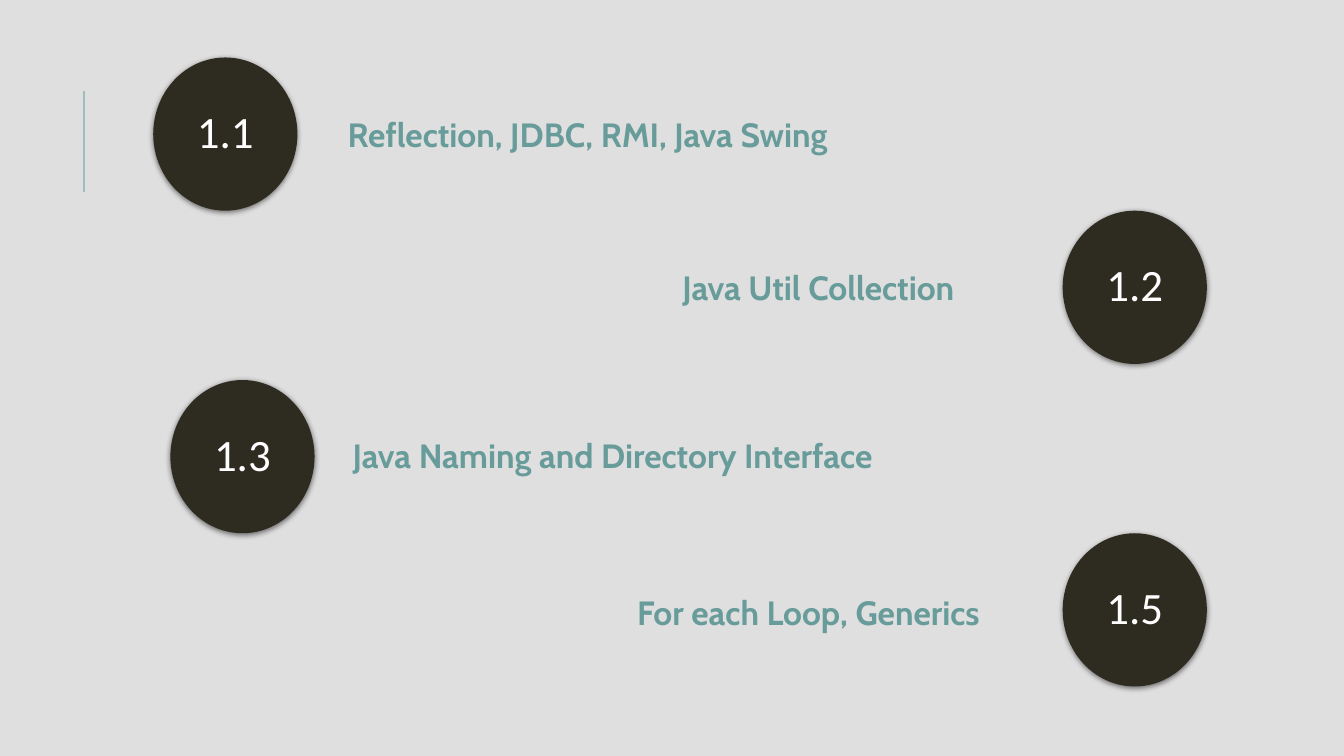
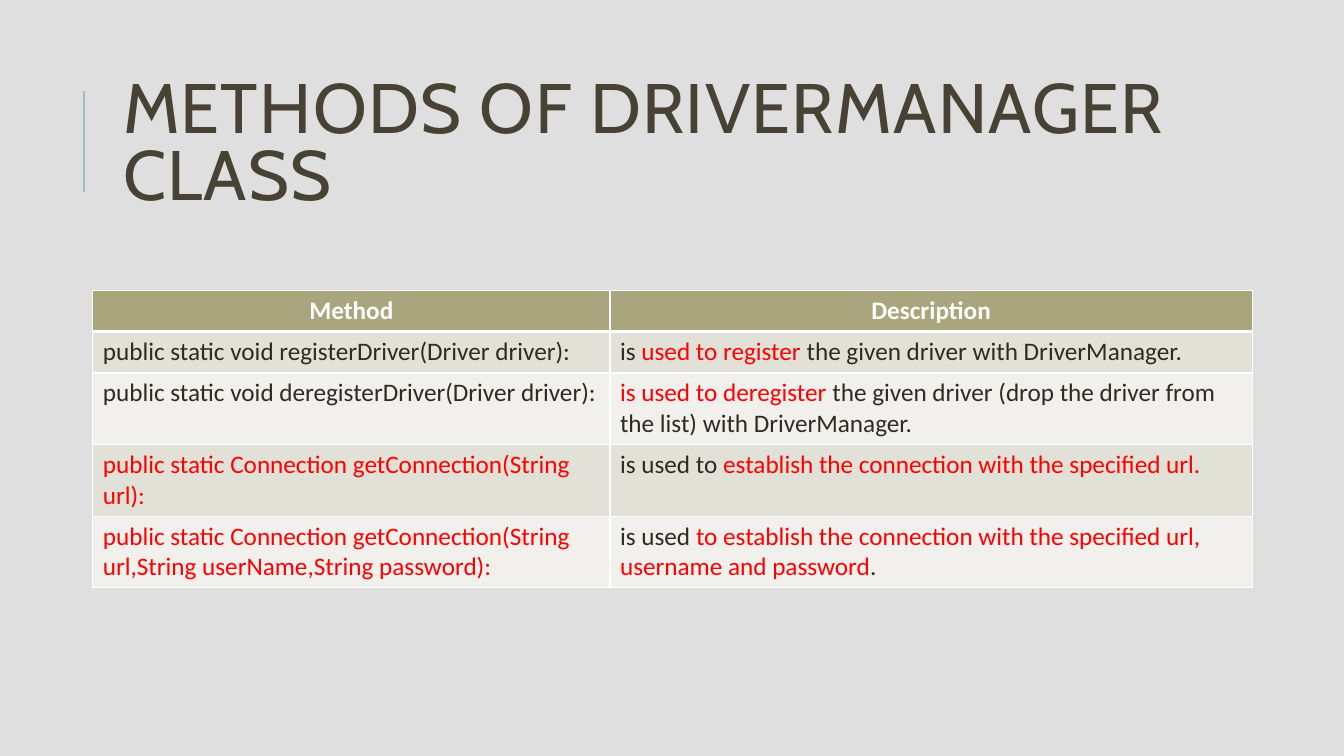
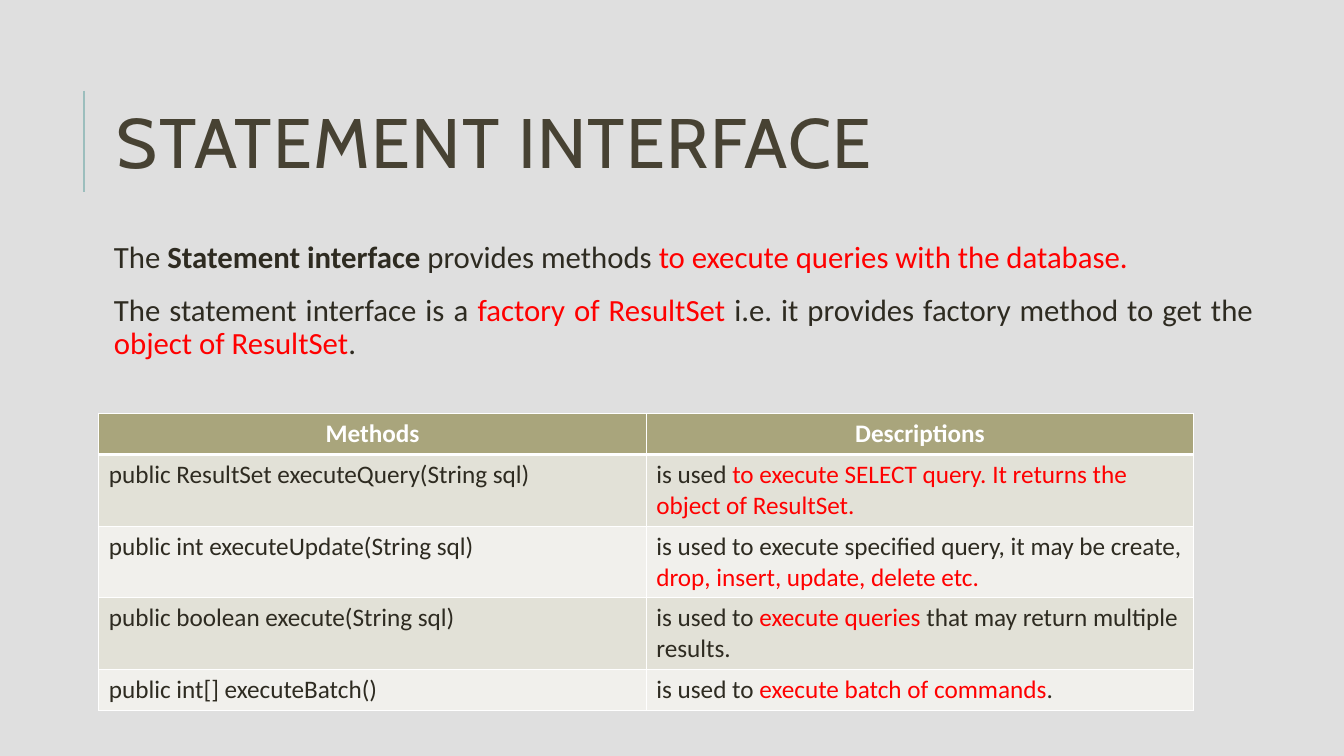
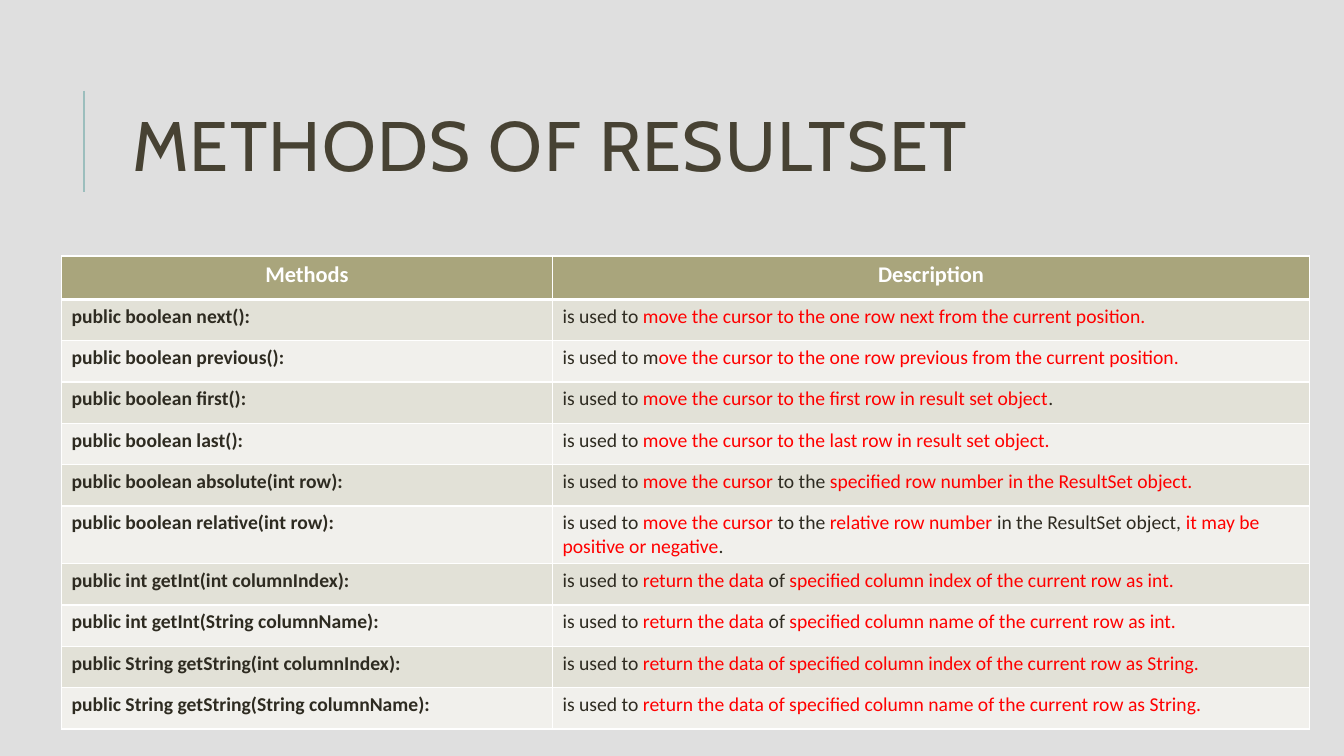
from lxml import etree
from pptx import Presentation
from pptx.dml.color import RGBColor
from pptx.enum.shapes import MSO_CONNECTOR, MSO_SHAPE
from pptx.enum.text import MSO_ANCHOR, MSO_AUTO_SIZE, PP_ALIGN
from pptx.oxml import parse_xml
from pptx.oxml.ns import qn
from pptx.util import Inches, Pt

LEFT, CENTER, JUSTIFY = PP_ALIGN.LEFT, PP_ALIGN.CENTER, PP_ALIGN.JUSTIFY
MIDDLE, NO_FIT = MSO_ANCHOR.MIDDLE, MSO_AUTO_SIZE.NONE
OVAL, STRAIGHT = MSO_SHAPE.OVAL, MSO_CONNECTOR.STRAIGHT
TITLED, LISTED, BLANK = 5, 1, 6
NS = "http://schemas.openxmlformats.org/drawingml/2006/main"


class Theme:
    back = RGBColor.from_string("DFDFDF")
    rule = RGBColor.from_string("9CBEBD")
    topic = RGBColor.from_string("689C9A")
    title = RGBColor.from_string("474233")
    dark = RGBColor.from_string("2E2B21")
    red = RGBColor.from_string("FF0000")
    white = RGBColor.from_string("FFFFFF")
    head = RGBColor.from_string("A9A57C")
    bands = RGBColor.from_string("E2E1D7"), RGBColor.from_string("F1F0EC")
    display, text = "Cabin", "Calibri"
    title_size, number_size, topic_size = Pt(50), Pt(32), Pt(24)
    body_size, cell_size = Pt(22), Pt(18)
    small_head, small_cell = Pt(16), Pt(14)


def write(par, text, size, color=Theme.dark, face=Theme.text, bold=False):
    """Add runs split at |; a leading * makes a run red, a leading ^ bold."""
    for part in text.split("|"):
        run = par.add_run()
        run.text = part.lstrip("*^")
        font = run.font
        font.name, font.size = face, size
        font.bold = bold or part.startswith("^")
        font.color.rgb = Theme.red if part.startswith("*") else color


prs = Presentation()
prs.slide_width, prs.slide_height = Inches(13.33), Inches(7.5)

# Shared background
master = prs.slide_master
master.background.fill.solid()
master.background.fill.fore_color.rgb = Theme.back

# Topic slide
slide = prs.slides.add_slide(prs.slide_layouts[BLANK])

# Shared rule beside the title, moved to the master
rule = slide.shapes.add_connector(
    STRAIGHT, Inches(0.83), Inches(0.9), Inches(0.83), Inches(1.9))
rule.line.color.rgb, rule.line.width = Theme.rule, Pt(1.5)
etree.SubElement(rule.element.spPr, qn("a:effectLst"))
rule.element.nvCxnSpPr.cNvPr.id = 20
master.shapes.element.append(rule.element)

# Numbered circles: number, left, top, topic, topic left, top, width
topics = [
    ("1.1", 1.52, 0.57, "Reflection, JDBC, RMI, Java Swing", 3.35, 1.08, 6.8),
    ("1.2", 10.54, 2.09, "Java Util Collection", 6.67, 2.6, 3.33),
    ("1.3", 1.69, 3.77, "Java Naming and Directory Interface", 3.4, 4.27, 6.8),
    ("1.5", 10.54, 5.29, "For each Loop, Generics", 6.22, 5.82, 6.8),
]
for number, x, y, topic, left, top, width in topics:
    disc = slide.shapes.add_shape(
        OVAL, Inches(x), Inches(y), Inches(1.43), Inches(1.52))
    disc.fill.solid()
    disc.fill.fore_color.rgb = Theme.dark
    disc.line.fill.background()
    disc.element.spPr.append(parse_xml(
        f'<a:effectLst xmlns:a="{NS}"><a:outerShdw blurRad="{Pt(4)}" '
        f'dist="{Pt(1)}" dir="5400000" rotWithShape="0">'
        '<a:srgbClr val="000000"><a:alpha val="50000"/></a:srgbClr>'
        '</a:outerShdw></a:effectLst>'))
    frame = disc.text_frame
    frame.vertical_anchor = MIDDLE
    frame.margin_left = frame.margin_right = Inches(0.02)
    frame.margin_top = frame.margin_bottom = Inches(0.02)
    par = frame.paragraphs[0]
    par.alignment, par.line_spacing = CENTER, 0.9
    write(par, number, Theme.number_size, Theme.white)

    label = slide.shapes.add_textbox(
        Inches(left), Inches(top), Inches(width), Inches(0.5))
    label.text_frame.word_wrap = True
    write(label.text_frame.paragraphs[0], topic, Theme.topic_size,
          Theme.topic, Theme.display, True)

# Content of the table slides
body = [
    "The |^Statement interface| provides methods "
    "|*to execute queries with the database.",
    "The statement interface is a |*factory of ResultSet |i.e. it provides "
    "factory method to get the |*object of ResultSet|.",
]
driver = [
    ("Method", "Description"),
    ("public static void registerDriver(Driver driver):",
     "is |*used to register |the given driver with DriverManager."),
    ("public static void deregisterDriver(Driver driver):",
     "*is used to deregister |the given driver (drop the driver from the list) "
     "with DriverManager."),
    ("*public static Connection getConnection(String url):",
     "is used to |*establish the connection with the specified url."),
    ("*public static Connection getConnection(String url,String userName,"
     "String password):",
     "is used |*to establish the connection with the specified url, username "
     "and password|."),
]
statement = [
    ("Methods", "Descriptions"),
    ("public ResultSet executeQuery(String sql)",
     "is used |*to execute SELECT query. It returns the object of ResultSet."),
    ("public int executeUpdate(String sql)",
     "is used to execute specified query, it may be create, "
     "|*drop, insert, update, delete etc."),
    ("public boolean execute(String sql)",
     "is used to |*execute queries |that may return multiple results."),
    ("public int[] executeBatch()",
     "is used to |*execute batch of commands|."),
]
result = [
    ("Methods", "Description"),
    ("public boolean next():",
     "is used to |*move the cursor to the one row next from the current "
     "position."),
    ("public boolean previous():",
     "is used to m|*ove the cursor to the one row previous from the current "
     "position."),
    ("public boolean first():",
     "is used to |*move the cursor to the first row in result set object|."),
    ("public boolean last():",
     "is used to |*move the cursor to the last row in result set object."),
    ("public boolean absolute(int row):",
     "is used to |*move the cursor |to the |*specified row number in the "
     "ResultSet object."),
    ("public boolean relative(int row):",
     "is used to |*move the cursor |to the |*relative row number |in the "
     "ResultSet object, |*it may be positive or negative|."),
    ("public int getInt(int columnIndex):",
     "is used to |*return the data |of |*specified column index of the "
     "current row as int."),
    ("public int getInt(String columnName):",
     "is used to |*return the data |of |*specified column name of the "
     "current row as int."),
    ("public String getString(int columnIndex):",
     "is used to |*return the data of specified column index of the current "
     "row as String."),
    ("public String getString(String columnName):",
     "is used to |*return the data of specified column name of the current "
     "row as String."),
]

# Title, its box, list, table rows, table corner, columns, head height,
# head size, cell size, bold methods
pages = [
    ("METHODS OF DRIVERMANAGER CLASS", (1.12, 0.64, 10.63, 1.64), [],
     driver, (0.92, 2.88), (5.13, 6.37), 0.41,
     Theme.cell_size, Theme.cell_size, False),
    ("STATEMENT INTERFACE", (1.06, 0.75, 11.5, 1.45), body,
     statement, (0.98, 4.1), (5.43, 5.43), 0.41,
     Theme.cell_size, Theme.cell_size, False),
    ("METHODS OF RESULTSET", (1.21, 0.78, 11.5, 1.45), [],
     result, (0.61, 2.54), (4.87, 7.51), 0.43,
     Theme.small_head, Theme.small_cell, True),
]
for (name, box, items, rows, corner, widths, tall,
     head_size, cell_size, strong) in pages:
    slide = prs.slides.add_slide(prs.slide_layouts[LISTED if items else TITLED])

    # Title
    title = slide.shapes.title
    title.left, title.top, title.width, title.height = map(Inches, box)
    frame = title.text_frame
    frame.auto_size, frame.vertical_anchor = NO_FIT, MIDDLE
    par = frame.paragraphs[0]
    par.alignment, par.line_spacing = LEFT, 0.8
    write(par, name, Theme.title_size, Theme.title, Theme.display)
    par.runs[0].font._element.set("spc", "100")

    # List
    if items:
        holder = slide.placeholders[1]
        holder.left, holder.top = Inches(0.98), Inches(2.35)
        holder.width, holder.height = Inches(11.5), Inches(4.76)
        frame = holder.text_frame
        frame.auto_size = NO_FIT
        frame.margin_left = frame.margin_right = Inches(0.05)
        frame.margin_top = frame.margin_bottom = Inches(0.05)
        for i, item in enumerate(items):
            par = frame.add_paragraph() if i else frame.paragraphs[0]
            props = par._p.get_or_add_pPr()
            props.set("marL", str(Inches(0.1)))
            props.set("indent", "0")
            etree.SubElement(props, qn("a:buNone"))
            par.alignment = JUSTIFY if i else LEFT
            par.line_spacing = 0.9
            par.space_before, par.space_after = Pt(12 if i else 0), Pt(2)
            write(par, item, Theme.body_size)

    # Table
    heights = [tall] + [0.41] * (len(rows) - 1)
    table = slide.shapes.add_table(
        len(rows), len(widths), *map(Inches, corner),
        Inches(sum(widths)), Inches(sum(heights))).table
    for col, width in zip(table.columns, widths):
        col.width = Inches(width)
    for r, row in enumerate(rows):
        table.rows[r].height = Inches(heights[r])
        edges = {"lnL": 1, "lnR": 1,
                 "lnT": 3 if r == 1 else 1, "lnB": 1 if r else 3}
        for c, text in enumerate(row):
            cell = table.cell(r, c)
            props = cell._tc.get_or_add_tcPr()
            for edge, weight in edges.items():
                props.append(parse_xml(
                    f'<a:{edge} xmlns:a="{NS}" w="{Pt(weight)}"><a:solidFill>'
                    f'<a:srgbClr val="{Theme.white}"/></a:solidFill></a:{edge}>'))
            cell.fill.solid()
            cell.fill.fore_color.rgb = Theme.bands[(r - 1) % 2] if r else Theme.head
            par = cell.text_frame.paragraphs[0]
            if r:
                write(par, text, cell_size, bold=strong and c == 0)
            else:
                par.alignment = CENTER
                write(par, text, head_size, Theme.white, bold=True)

prs.save("out.pptx")
